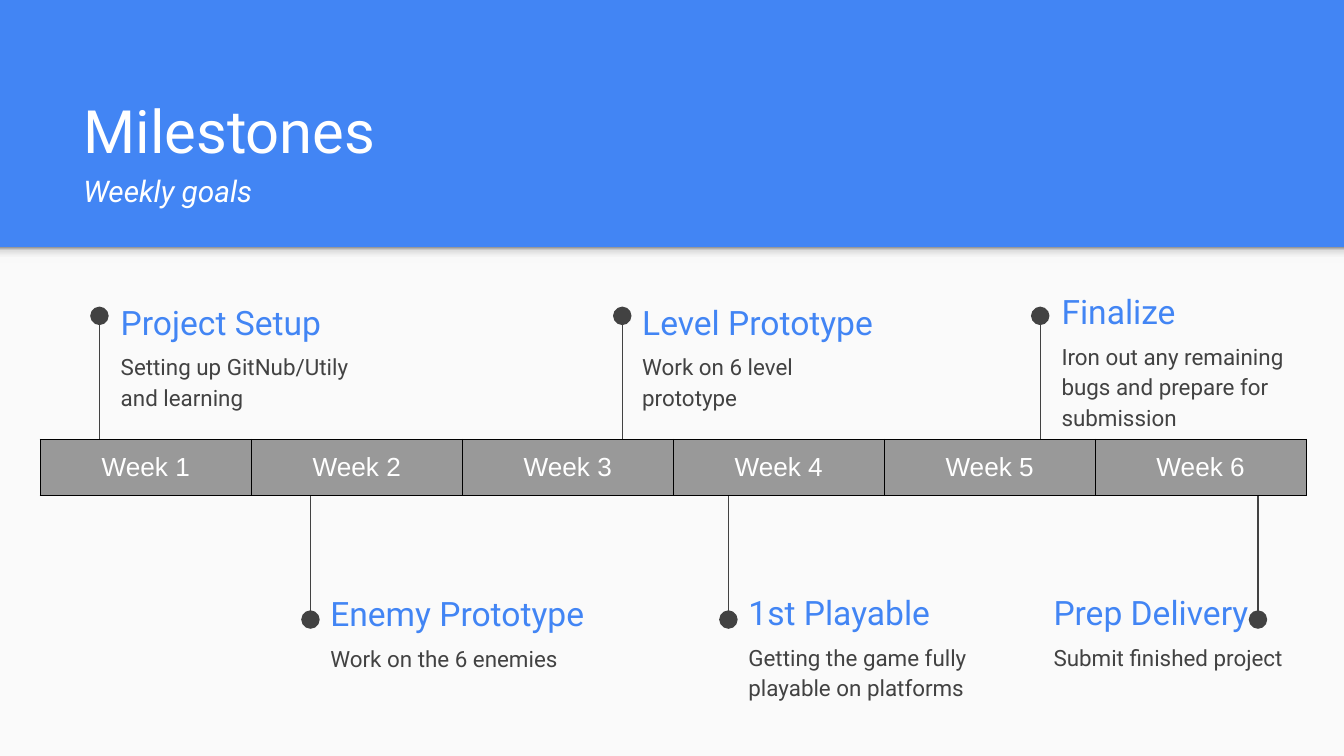
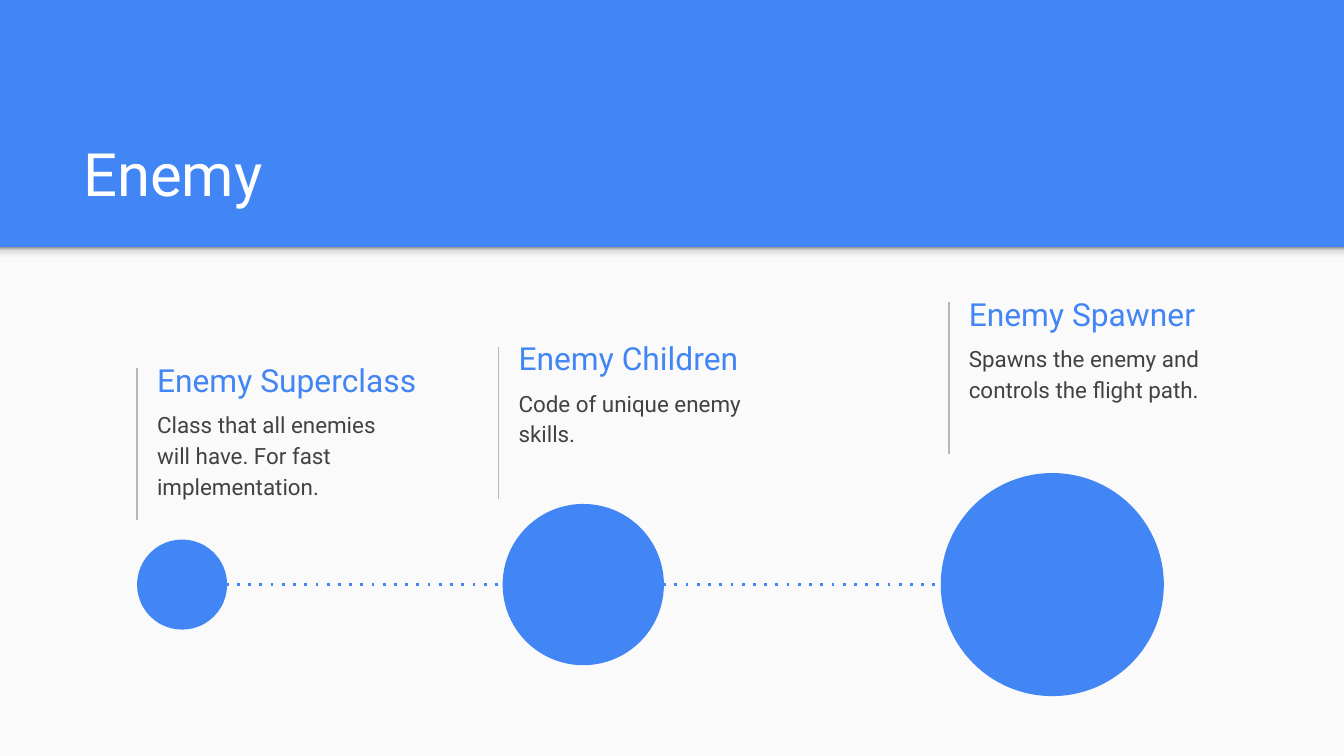
import copy

import lxml.etree
import pptx
import pptx.dml.color
import pptx.enum.shapes
import pptx.enum.text
import pptx.oxml.ns
import pptx.util

Inches = pptx.util.Inches
Pt = pptx.util.Pt
RGBColor = pptx.dml.color.RGBColor
SHAPE = pptx.enum.shapes.MSO_SHAPE
ANCHOR = pptx.enum.text.MSO_ANCHOR
ALIGN = pptx.enum.text.PP_ALIGN
qn = pptx.oxml.ns.qn

BLUE = RGBColor(0x42, 0x85, 0xF4)
PANEL = RGBColor(0xFA, 0xFA, 0xFA)
WHITE = RGBColor(0xFF, 0xFF, 0xFF)
INK = RGBColor(0x42, 0x42, 0x42)
RULE = RGBColor(0xB7, 0xB7, 0xB7)
WEEK = RGBColor(0x99, 0x99, 0x99)
BLACK = RGBColor(0x00, 0x00, 0x00)
SHADE = (
    (0, RGBColor(0xF9, 0xF9, 0xF9)),
    (0.36, RGBColor(0xF9, 0xF9, 0xF9)),
    (0.8, RGBColor(0xDE, 0xDE, 0xDE)),
    (1, WEEK),
)

WIDTH = 10
HEIGHT = WIDTH * 9 / 16
BAND_BOTTOM = 1.84
CAPTION_WIDTH = 1.98


def write(paragraph, text, *, size, color, font="Roboto", italic=False,
          align=ALIGN.LEFT, line_spacing=None, after=0):
    paragraph.alignment = align
    paragraph.line_spacing = line_spacing
    paragraph.space_after = Pt(after)
    run = paragraph.add_run()
    run.text = text
    run.font.name = font
    run.font.size = Pt(size)
    run.font.italic = italic
    run.font.color.rgb = color


def set_frame(frame, anchor):
    frame.word_wrap = True
    frame.auto_size = pptx.enum.text.MSO_AUTO_SIZE.NONE
    frame.vertical_anchor = anchor
    frame.margin_left = frame.margin_right = Inches(0.1)
    frame.margin_top = frame.margin_bottom = Inches(0.1)


class Deck:
    def __init__(self):
        self.presentation = pptx.Presentation()
        self.presentation.slide_width = Inches(WIDTH)
        self.presentation.slide_height = Inches(HEIGHT)
        self.slide = None

    def start_slide(self, title, subtitle=None):
        layout = self.presentation.slide_layouts[5]
        self.slide = self.presentation.slides.add_slide(layout)
        background = self.slide.background.fill
        background.solid()
        background.fore_color.rgb = BLUE
        self.shape(SHAPE.RECTANGLE, 0, BAND_BOTTOM, WIDTH, HEIGHT - BAND_BOTTOM, PANEL)
        self.band_shadow()

        heading = self.slide.shapes.title
        heading.left, heading.top = Inches(0.52), Inches(0.81)
        heading.width, heading.height = Inches(8.99), Inches(0.84)
        frame = heading.text_frame
        set_frame(frame, ANCHOR.BOTTOM)
        after = 4 if subtitle else 0
        write(frame.paragraphs[0], title, size=32, color=WHITE, after=after)
        if subtitle:
            write(frame.add_paragraph(), subtitle, size=16, color=WHITE,
                  italic=True, after=after)

    def shape(self, kind, left, top, width, height, color):
        shape = self.slide.shapes.add_shape(
            kind, Inches(left), Inches(top), Inches(width), Inches(height))
        shape.shadow.inherit = False
        shape.fill.solid()
        shape.fill.fore_color.rgb = color
        shape.line.fill.background()
        return shape

    def band_shadow(self):
        strip = self.shape(SHAPE.RECTANGLE, 0, BAND_BOTTOM, WIDTH, 0.12, PANEL)
        strip.fill.gradient()
        strip.fill.gradient_angle = 90
        stops = next(strip._element.spPr.iter(qn("a:gsLst")))
        while len(stops) < len(SHADE):
            stops.append(copy.deepcopy(stops[0]))
        for stop, (position, color) in zip(strip.fill.gradient_stops, SHADE):
            stop.position = position
            stop.color.rgb = color

    def line(self, start, end, color, width=0.75, dash=None, tail=None):
        connector = self.slide.shapes.add_connector(
            pptx.enum.shapes.MSO_CONNECTOR.STRAIGHT,
            *(Inches(value) for value in (*start, *end)))
        connector.line.color.rgb = color
        connector.line.width = Pt(width)
        stroke = connector.line._get_or_add_ln()
        if dash:
            lxml.etree.SubElement(stroke, qn("a:prstDash"), val=dash)
        if tail:
            lxml.etree.SubElement(stroke, qn("a:tailEnd"), type=tail, w="lg", len="lg")
        lxml.etree.SubElement(connector._element.spPr, qn("a:effectLst"))

    def text(self, left, top, width, height, text, anchor=ANCHOR.TOP, **style):
        box = self.slide.shapes.add_textbox(
            Inches(left), Inches(top), Inches(width), Inches(height))
        set_frame(box.text_frame, anchor)
        write(box.text_frame.paragraphs[0], text, **style)

    def caption(self, left, top, heading, description, size,
                heading_width=CAPTION_WIDTH, description_height=0.63):
        self.text(left, top, heading_width, 0.43, heading,
                  anchor=ANCHOR.MIDDLE, size=size, color=BLUE)
        self.text(left, top + 0.32, CAPTION_WIDTH, description_height, description,
                  size=12, color=INK, line_spacing=1.15, after=16)

    def week_bar(self, left, top, week_width, height, weeks):
        bar = self.slide.shapes.add_table(
            1, len(weeks), Inches(left), Inches(top),
            Inches(week_width * len(weeks)), Inches(height)).table
        bar.first_row = bar.horz_banding = False
        bar.rows[0].height = Inches(height)
        for column, week in enumerate(weeks):
            bar.columns[column].width = Inches(week_width)
            cell = bar.cell(0, column)
            cell.margin_left = cell.margin_right = Inches(0.1)
            cell.margin_top = cell.margin_bottom = Inches(0.1)
            write(cell.text_frame.paragraphs[0], week, size=14, color=WHITE,
                  font="Arial", align=ALIGN.CENTER)
            properties = cell._tc.get_or_add_tcPr()
            for side in ("a:lnL", "a:lnR", "a:lnT", "a:lnB"):
                border = lxml.etree.SubElement(properties, qn(side), w=str(Pt(0.75)))
                paint = lxml.etree.SubElement(border, qn("a:solidFill"))
                lxml.etree.SubElement(paint, qn("a:srgbClr"), val=str(BLACK))
            cell.fill.solid()
            cell.fill.fore_color.rgb = WEEK


def build_milestones(deck):
    deck.start_slide("Milestones", "Weekly goals")
    bar_top, bar_height = 3.27, 0.42
    milestones = (
        (0.74, 0.8, 2.18, "Project Setup", "Setting up GitNub/Utily and learning", 1.98),
        (2.31, 2.36, 4.35, "Enemy Prototype", "Work on the 6 enemies", 2.27),
        (4.63, 4.68, 2.18, "Level Prototype", "Work on 6 level prototype", 1.98),
        (5.42, 5.47, 4.34, "1st Playable",
         "Getting the game fully playable on platforms", 1.98),
        (7.74, 7.8, 2.1, "Finalize",
         "Iron out any remaining bugs and prepare for submission", 1.98),
        (9.36, 7.74, 4.34, "Prep Delivery", "Submit finished project", 1.98),
    )
    for marker, left, top, heading, description, heading_width in milestones:
        above = top < bar_top
        start, end = (bar_top, 2.35) if above else (bar_top + bar_height, 4.61)
        deck.line((marker, start), (marker, end), INK, tail="oval")
        deck.caption(left, top, heading, description, 18, heading_width)
    deck.week_bar(0.3, bar_top, 1.57, bar_height,
                  [f"Week {number}" for number in range(1, 7)])


def build_enemy(deck):
    deck.start_slide("Enemy")
    axis = 4.35
    classes = (
        (1.02, 2.74, 1.02, 0.67, "Enemy Superclass",
         "Class that all enemies will have. For fast implementation.", 2.28, 0.84),
        (3.71, 2.58, 3.74, 1.2, "Enemy Children",
         "Code of unique enemy skills.", 1.98, 0.63),
        (7.06, 2.25, 7, 1.66, "Enemy Spawner",
         "Spawns the enemy and controls the flight path.", 1.98, 0.63),
    )
    deck.line((1.68, axis), (7, axis), BLUE, width=1.5, dash="dot")
    for rule, top, left, diameter, heading, description, width, height in classes:
        deck.line((rule, top), (rule, top + 1.13), RULE)
        deck.caption(rule + 0.05, top - 0.13, heading, description, 17, width, height)
        deck.shape(SHAPE.OVAL, left, axis - diameter / 2, diameter, diameter, BLUE)


def main():
    deck = Deck()
    build_milestones(deck)
    build_enemy(deck)
    deck.presentation.save("out.pptx")


if __name__ == "__main__":
    main()
